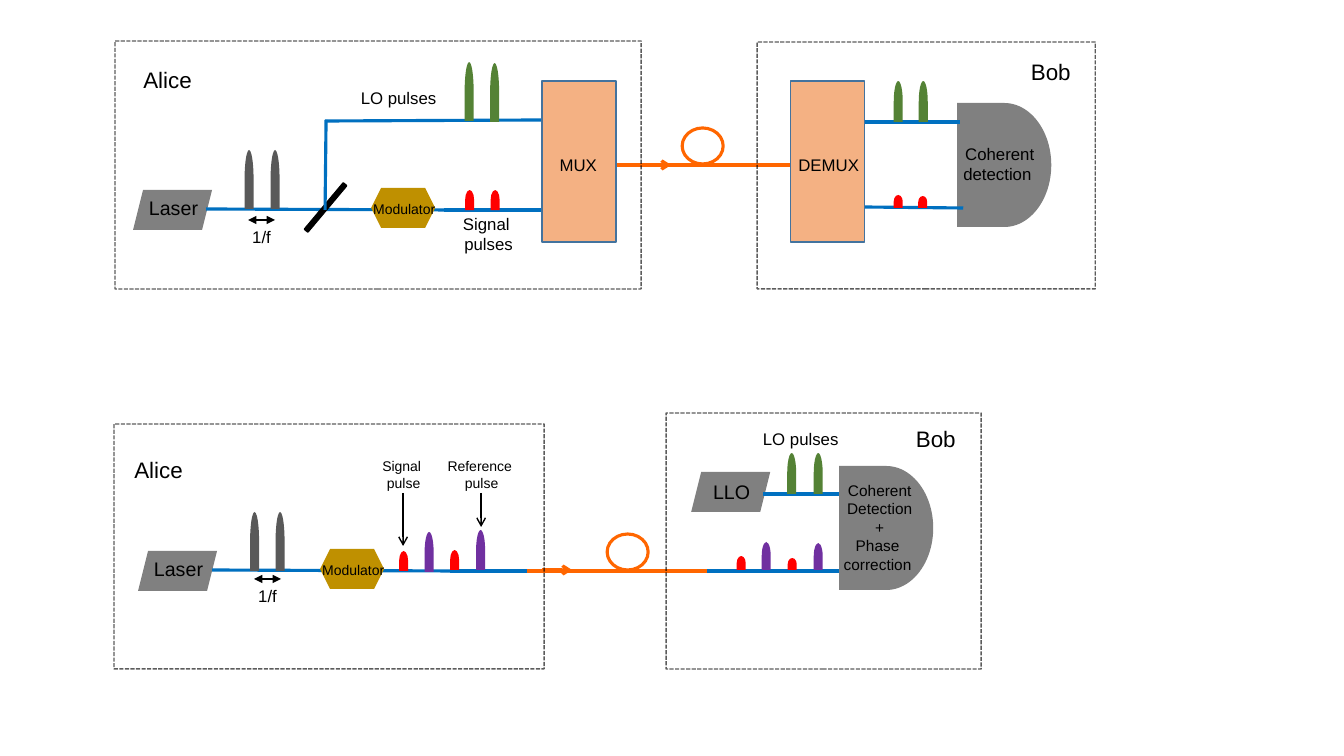
from dataclasses import dataclass

from lxml.etree import SubElement
from pptx import Presentation
from pptx.dml.color import RGBColor
from pptx.enum.dml import MSO_LINE
from pptx.enum.shapes import MSO_CONNECTOR, MSO_SHAPE
from pptx.enum.text import PP_ALIGN
from pptx.oxml.ns import qn
from pptx.util import Emu, Inches, Pt

STRAIGHT = MSO_CONNECTOR.STRAIGHT
DELAY = MSO_SHAPE.FLOWCHART_DELAY
ELLIPSE = MSO_SHAPE.OVAL
HEXAGON = MSO_SHAPE.HEXAGON
PARALLELOGRAM = MSO_SHAPE.PARALLELOGRAM
RECTANGLE = MSO_SHAPE.RECTANGLE
ROUNDED = MSO_SHAPE.ROUNDED_RECTANGLE
SHORT_DASH = MSO_LINE.SQUARE_DOT
CENTER = PP_ALIGN.CENTER
EMU_PER_PIXEL = 914400 / 100.8


@dataclass(frozen=True)
class Theme:
    """Colours, type sizes and line widths of the diagram."""

    font: str = "Arial"
    black: str = "000000"
    device: str = "808080"
    laser_pulse: str = "595959"
    oscillator_pulse: str = "548235"
    signal_pulse: str = "FF0000"
    reference_pulse: str = "7030A0"
    modulator: str = "BF9000"
    multiplexer: str = "F4B183"
    multiplexer_edge: str = "43739E"
    beam: str = "0070C0"
    fibre: str = "FF6600"
    station_size: int = 16
    device_size: int = 14
    label_size: int = 12
    detail_size: int = 11
    small_size: int = 10
    beam_width: float = 2.25
    thin_width: float = 1
    station_alpha: int = 63000


THEME = Theme()


def px(value):
    """Turn pixels into EMU."""
    return Emu(round(value * EMU_PER_PIXEL))


def add_shape(slide, kind, left, top, width, height, fill=None, edge=None, edge_width=1):
    """Add a preset shape with optional fill and outline."""
    shape = slide.shapes.add_shape(kind, px(left), px(top), px(width), px(height))
    shape.shadow.inherit = False
    if fill:
        shape.fill.solid()
        shape.fill.fore_color.rgb = RGBColor.from_string(fill)
    else:
        shape.fill.background()
    if edge:
        shape.line.color.rgb = RGBColor.from_string(edge)
        shape.line.width = Pt(edge_width)
    else:
        shape.line.fill.background()
    return shape


def add_label(slide, text, left, top, width=99, height=31, size=THEME.label_size):
    """Add centred text, one paragraph for each line."""
    frame = slide.shapes.add_textbox(px(left), px(top), px(width), px(height)).text_frame
    frame.word_wrap = False
    frame.text = text
    for paragraph in frame.paragraphs:
        paragraph.alignment = CENTER
        for run in paragraph.runs:
            run.font.name = THEME.font
            run.font.size = Pt(size)
            run.font.color.rgb = RGBColor.from_string(THEME.black)


def add_line(slide, start, end, color=THEME.beam, width=THEME.beam_width, head=None, tail=None):
    """Add a straight line between two points, with optional arrowheads."""
    connector = slide.shapes.add_connector(STRAIGHT, *map(px, start + end))
    connector.line.color.rgb = RGBColor.from_string(color)
    connector.line.width = Pt(width)
    properties = connector.element.spPr
    outline = properties.find(qn("a:ln"))
    for tag, kind in (("a:headEnd", head), ("a:tailEnd", tail)):
        if kind:
            SubElement(outline, qn(tag)).set("type", kind)
    SubElement(properties, qn("a:effectLst"))


def add_station(slide, left, top, width, height):
    """Add the dashed frame around one party."""
    frame = add_shape(slide, RECTANGLE, left, top, width, height, None, THEME.black)
    frame.line.dash_style = SHORT_DASH
    color = frame.element.spPr.find(qn("a:ln")).find(".//" + qn("a:srgbClr"))
    SubElement(color, qn("a:alpha")).set("val", str(THEME.station_alpha))


def add_pulses(slide, color, *pulses):
    """Add upright pulses, each given as centre, base and length."""
    thickness = 9
    for center, base, length in pulses:
        left, top = center - length / 2, base - (length + thickness) / 2
        add_shape(slide, DELAY, left, top, length, thickness, color).rotation = 270


def add_source(slide, text, left, top, label_top):
    """Add a light source with its name."""
    add_shape(slide, PARALLELOGRAM, left, top, 79, 40, THEME.device)
    add_label(slide, text, left - 18, label_top, 117, 40, THEME.device_size)


def add_modulator(slide, left, top):
    """Add the modulator with its name."""
    add_shape(slide, HEXAGON, left, top, 64, 40, THEME.modulator)
    add_label(slide, "Modulator ", left - 24, top + 8, 118, 69, THEME.small_size)


def add_multiplexer(slide, text, left):
    """Add a multiplexer block with its name."""
    add_shape(slide, RECTANGLE, left, 81, 74, 161, THEME.multiplexer, THEME.multiplexer_edge)
    add_label(slide, text, left - 2, 150, 81, 26)


def add_detector(slide, text, left, top, label_left, label_top, size):
    """Add a detector with its description."""
    add_shape(slide, DELAY, left, top, 94, 124, THEME.device)
    add_label(slide, text, label_left, label_top, 121, 26, size)


def add_fibre(slide, start, end, y, arrow_start, arrow_y, loop_left):
    """Add the fibre link with its loop and direction arrow."""
    add_shape(slide, ELLIPSE, loop_left, y - 37, 41, 36, None, THEME.fibre, THEME.beam_width)
    add_line(slide, (start, y), (end, y), THEME.fibre)
    add_line(slide, (arrow_start, arrow_y), (arrow_start + 30, arrow_y), THEME.fibre, tail="arrow")


def add_period(slide, left, y):
    """Add the double arrow that marks the pulse period."""
    add_line(slide, (left, y), (left + 27, y), THEME.black, THEME.thin_width, "triangle", "triangle")
    add_label(slide, "1/f", left - 36, y + 2)


def add_pulse_note(slide, text, x, tip):
    """Add a note above a pulse with an arrow down to it."""
    add_label(slide, text, x - 49, 453, size=THEME.small_size)
    add_line(slide, (x, 493), (x, tip), THEME.black, THEME.thin_width, tail="arrow")


def draw_transmitted_oscillator(slide):
    """Draw the upper scheme, where the LO travels with the signal."""
    add_source(slide, "Laser", 133, 190, 191)
    add_line(slide, (206, 209), (448, 210))
    add_pulses(slide, THEME.laser_pulse, (249, 209, 59), (275, 209, 59))
    add_period(slide, 248, 220)
    add_modulator(slide, 371, 188)
    add_fibre(slide, 617, 790, 165, 641, 165, 682)
    add_detector(slide, "Coherent\ndetection ", 957, 103, 939, 139, THEME.label_size)
    splitter = add_shape(slide, ROUNDED, 295, 205, 61, 5, THEME.black, THEME.black, 0.74)
    splitter.rotation = 310
    add_line(slide, (325, 210), (326, 120))
    add_line(slide, (325, 121), (542, 120))
    add_line(slide, (444, 210), (542, 210))
    add_pulses(slide, THEME.signal_pulse, (469.5, 210, 20), (495, 210, 20))
    add_pulses(slide, THEME.oscillator_pulse, (469, 121, 59), (494.5, 122, 59))
    add_multiplexer(slide, "MUX ", 542)
    add_multiplexer(slide, "DEMUX ", 790)
    add_line(slide, (865, 122), (960, 122))
    add_line(slide, (865, 207), (963, 208))
    add_pulses(slide, THEME.signal_pulse, (898, 208, 13), (922.5, 208, 12))
    add_pulses(slide, THEME.oscillator_pulse, (898, 122, 41), (923, 122, 41))
    add_label(slide, "LO pulses", 349, 83)
    add_label(slide, "Signal \npulses", 439, 209)
    add_station(slide, 115, 41, 526, 248)
    add_station(slide, 757, 42, 338, 247)
    add_label(slide, "Alice", 118, 61, size=THEME.station_size)
    add_label(slide, "Bob", 1001, 53, size=THEME.station_size)


def draw_local_oscillator(slide):
    """Draw the lower scheme, where the LO is generated by the receiver."""
    add_source(slide, "Laser", 138, 551, 552)
    add_line(slide, (212, 570), (454, 571))
    add_line(slide, (450, 571), (527, 571))
    add_pulses(slide, THEME.laser_pulse, (254.5, 571, 59), (280, 571, 59))
    add_period(slide, 254, 579)
    add_modulator(slide, 320, 549)
    add_pulses(slide, THEME.signal_pulse, (403.5, 571, 20), (454.5, 570, 20))
    add_pulses(slide, THEME.reference_pulse, (429, 572, 40), (480.5, 570, 40))
    add_pulse_note(slide, "Signal \npulse", 403, 546)
    add_pulse_note(slide, "Reference \npulse", 481, 527)
    add_fibre(slide, 527, 707, 571, 542, 570, 607)
    add_source(slide, "LLO", 691, 472, 475)
    add_line(slide, (763, 494), (840, 494))
    add_line(slide, (707, 571), (840, 571))
    add_pulses(slide, THEME.oscillator_pulse, (791.5, 494, 41), (818, 494, 41))
    add_pulses(slide, THEME.signal_pulse, (741, 570, 14), (792, 570, 12))
    add_pulses(slide, THEME.reference_pulse, (766, 570, 28), (818, 570, 27))
    description = "Coherent\nDetection\n+\nPhase \ncorrection "
    add_detector(slide, description, 839, 466, 819, 476, THEME.detail_size)
    add_label(slide, "LO pulses", 751, 424)
    add_station(slide, 114, 424, 430, 245)
    add_station(slide, 666, 413, 315, 256)
    add_label(slide, "Alice", 118, 451, 81, 28, THEME.station_size)
    add_label(slide, "Bob", 895, 420, 81, 28, THEME.station_size)


def main():
    """Build the slide and save it."""
    presentation = Presentation()
    presentation.slide_width, presentation.slide_height = Inches(13.33), Inches(7.5)
    slide = presentation.slides.add_slide(presentation.slide_layouts[6])
    draw_transmitted_oscillator(slide)
    draw_local_oscillator(slide)
    presentation.save("out.pptx")


main()
